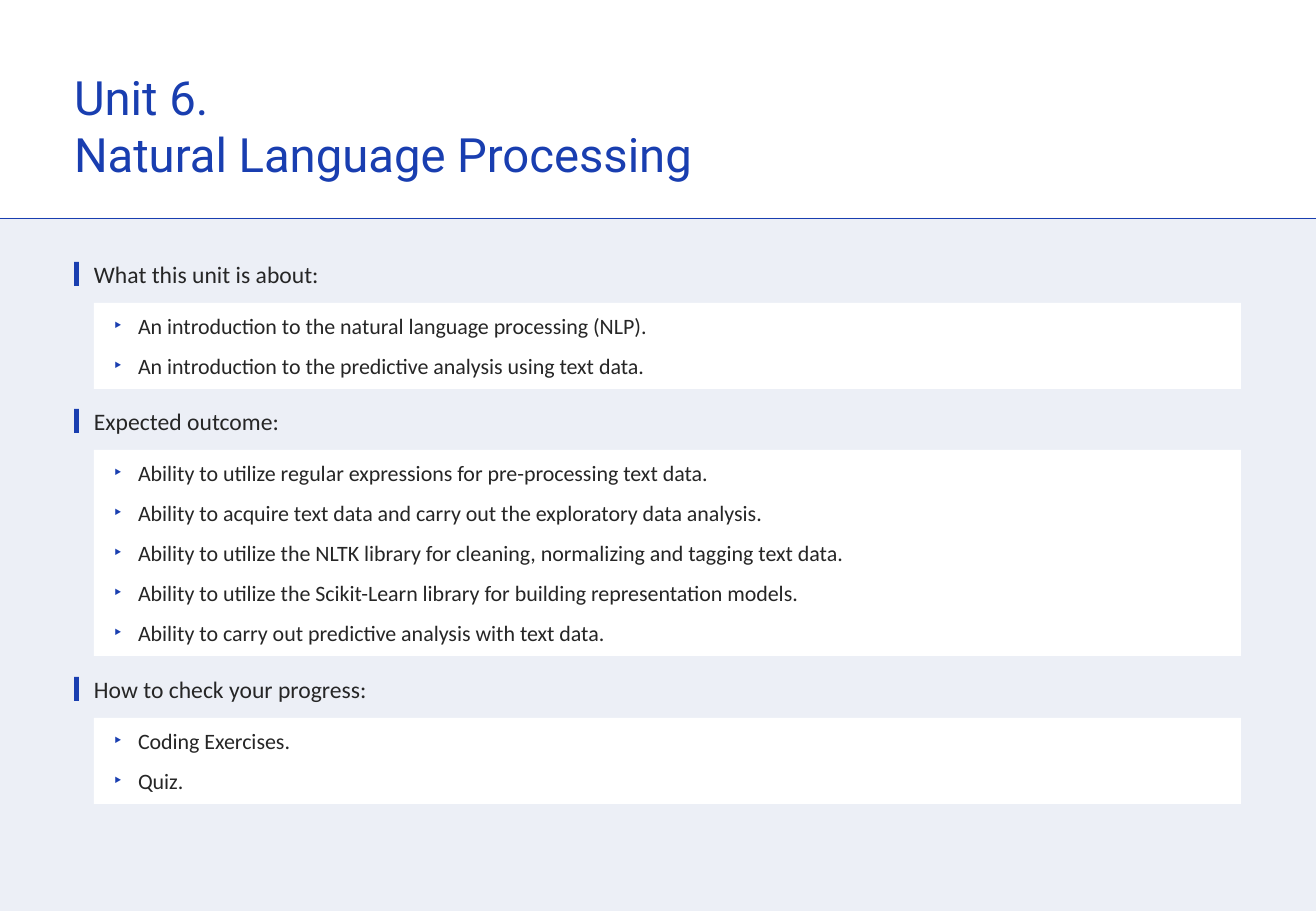
from dataclasses import dataclass

from lxml.etree import SubElement
from pptx import Presentation
from pptx.dml.color import RGBColor
from pptx.enum.shapes import MSO_CONNECTOR as Connector, MSO_SHAPE as Preset
from pptx.enum.text import MSO_ANCHOR as Anchor, MSO_AUTO_SIZE as AutoSize, PP_ALIGN as Align
from pptx.oxml.ns import qn
from pptx.util import Pt

EMU_PER_PX = 914400 / 121.5
WIDTH, HEIGHT = 1316, 911
COMPARISON_LAYOUT = 4

SECTIONS = [
    (260, "What this unit is about:", [
        "An introduction to the natural language processing (NLP).",
        "An introduction to the predictive analysis using text data.",
    ]),
    (407, "Expected outcome:", [
        "Ability to utilize regular expressions for pre-processing text data.",
        "Ability to acquire text data and carry out the exploratory data analysis.",
        "Ability to utilize the NLTK library for cleaning, normalizing and tagging text data.",
        "Ability to utilize the Scikit-Learn library for building representation models.",
        "Ability to carry out predictive analysis with text data.",
    ]),
    (675, "How to check your progress:", [
        "Coding Exercises.",
        "Quiz.",
    ]),
]


@dataclass(frozen=True)
class Theme:
    accent: str = "193EB0"
    band: str = "ECEFF6"
    panel: str = "FFFFFF"
    ink: str = "262626"
    title_font: str = "Roboto"
    body_font: str = "Calibri"
    title_size: int = 28
    heading_size: int = 14
    item_size: int = 13


def px(length):
    return round(length * EMU_PER_PX)


def color(value):
    return RGBColor.from_string(value)


class UnitSlide:
    def __init__(self, presentation, theme):
        self.theme = theme
        layout = presentation.slide_layouts[COMPARISON_LAYOUT]
        self.slide = presentation.slides.add_slide(layout)
        self.shapes = self.slide.shapes

    def rectangle(self, left, top, width, height, fill):
        shape = self.shapes.add_shape(Preset.RECTANGLE, *map(px, (left, top, width, height)))
        shape.shadow.inherit = False
        shape.fill.solid()
        shape.fill.fore_color.rgb = color(fill)
        shape.line.fill.background()

    def rule(self, top):
        line = self.shapes.add_connector(Connector.STRAIGHT, 0, px(top), px(WIDTH), px(top))
        line.line.color.rgb = color(self.theme.accent)
        line.line.width = Pt(0.5)
        SubElement(line.element.spPr, qn("a:effectLst"))

    def place(self, placeholder, left, top, width, height):
        placeholder.left, placeholder.top = px(left), px(top)
        placeholder.width, placeholder.height = px(width), px(height)
        self.shapes.element.append(placeholder.element)

    def add_lines(self, shape, lines, font, size, ink, inset=(0, 0), space_after=0, bullet=False):
        frame = shape.text_frame
        frame.word_wrap = True
        frame.auto_size = AutoSize.NONE
        frame.vertical_anchor = Anchor.TOP
        frame.margin_left = frame.margin_right = px(inset[0])
        frame.margin_top = frame.margin_bottom = px(inset[1])
        for number, text in enumerate(lines):
            paragraph = frame.add_paragraph() if number else frame.paragraphs[0]
            if bullet:
                self.bullet(paragraph)
            paragraph.alignment = Align.LEFT
            paragraph.line_spacing = 1.0
            paragraph.space_before = Pt(0)
            paragraph.space_after = Pt(space_after)
            run = paragraph.add_run()
            run.text = text
            run.font.name = font
            run.font.size = Pt(size)
            run.font.bold = False
            run.font.color.rgb = color(ink)

    def bullet(self, paragraph):
        properties = paragraph._p.get_or_add_pPr()
        properties.set("marL", str(px(24)))
        properties.set("indent", str(-px(24)))
        bullet_color = SubElement(properties, qn("a:buClr"))
        SubElement(bullet_color, qn("a:srgbClr"), val=self.theme.accent)
        SubElement(properties, qn("a:buChar"), char="‣")

    def title(self, lines):
        theme = self.theme
        title = self.shapes.title
        self.place(title, 74, 68, 1168, 114)
        self.add_lines(title, lines, theme.title_font, theme.title_size, theme.accent)

    def heading(self, top, text):
        theme = self.theme
        self.rectangle(74, top + 2, 5, 24, theme.accent)
        box = self.shapes.add_textbox(px(94), px(top), px(1147), px(29))
        self.add_lines(box, [text], theme.body_font, theme.heading_size, theme.ink)

    def item_list(self, placeholder, top, items):
        theme = self.theme
        self.place(placeholder, 94, top, 1147, 40 * len(items) + 6)
        placeholder.fill.solid()
        placeholder.fill.fore_color.rgb = color(theme.panel)
        self.add_lines(placeholder, items, theme.body_font, theme.item_size, theme.ink,
                       inset=(20, 10), space_after=8, bullet=True)

    def remove(self, placeholder):
        self.shapes.element.remove(placeholder.element)


def main():
    presentation = Presentation()
    presentation.slide_width, presentation.slide_height = px(WIDTH), px(HEIGHT)
    theme = Theme()
    unit = UnitSlide(presentation, theme)
    title, *bodies = unit.slide.placeholders
    unit.rectangle(0, 218, WIDTH, HEIGHT - 218, theme.band)
    unit.rule(218)
    unit.title(["Unit 6.", "Natural Language Processing"])
    for body, (top, heading, items) in zip(bodies, SECTIONS):
        unit.heading(top, heading)
        unit.item_list(body, top + 43, items)
    for spare in bodies[len(SECTIONS):]:
        unit.remove(spare)
    presentation.save("out.pptx")


if __name__ == "__main__":
    main()
